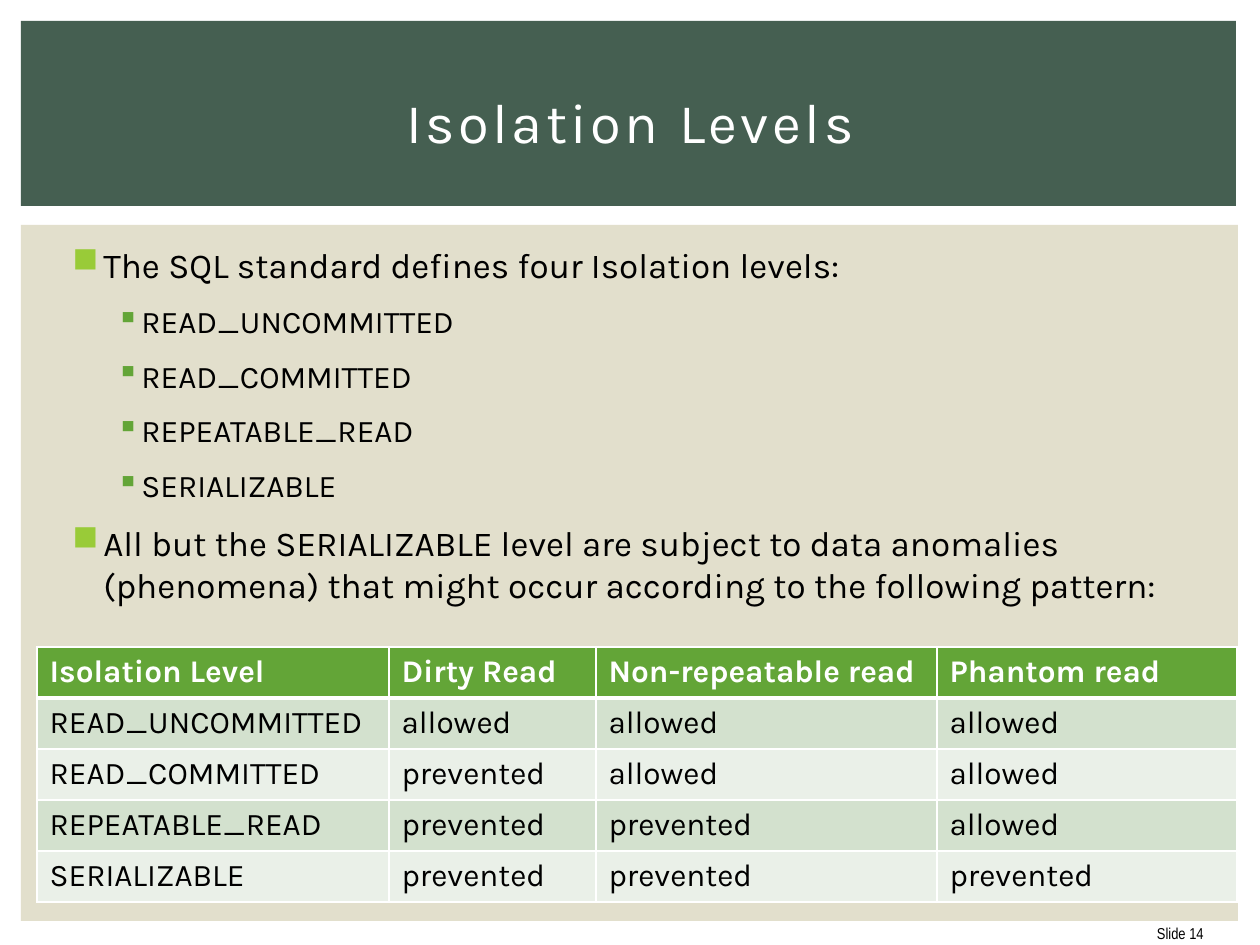
import pptx
import pptx.util
import pptx.dml.color
import pptx.enum.shapes
import pptx.enum.text
import pptx.oxml
import pptx.oxml.ns

SCALE = 914400 / 126
FONT = "Karla"
COLORS = {
    "white": "FFFFFF", "black": "000000", "band": "455F51", "panel": "E2DFCC",
    "lime": "99CB38", "green": "63A537", "odd": "D3E1CE", "even": "EAF0E8",
}
ALIGN = pptx.enum.text.PP_ALIGN
MIDDLE = pptx.enum.text.MSO_ANCHOR.MIDDLE

# Per bullet level: sign, colour, text size, left margin, hanging indent
LEVELS = [("■", "lime", 20, 38, 31), ("▪", "green", 18, 76, 25)]
POINTS = [
    (0, "The SQL standard defines four Isolation levels:"),
    (1, "READ_UNCOMMITTED"),
    (1, "READ_COMMITTED"),
    (1, "REPEATABLE_READ"),
    (1, "SERIALIZABLE"),
    (0, "All but the SERIALIZABLE level are subject to data anomalies "
        "(phenomena) that might occur according to the following pattern:"),
]
COLS = [352, 207, 341, 300]
ROW = 51
ROWS = [
    ["Isolation Level", "Dirty Read", "Non-repeatable read", "Phantom read"],
    ["READ_UNCOMMITTED", "allowed", "allowed", "allowed"],
    ["READ_COMMITTED", "prevented", "allowed", "allowed"],
    ["REPEATABLE_READ", "prevented", "prevented", "allowed"],
    ["SERIALIZABLE", "prevented", "prevented", "prevented"],
]


def px(n):
    return pptx.util.Emu(round(n * SCALE))


def rgb(name):
    return pptx.dml.color.RGBColor.from_string(COLORS[name])


def add_xml(parent, body):
    """Append one drawing element, given without its namespace."""
    tag, rest = body.split(" ", 1)
    ns = pptx.oxml.ns.nsdecls("a")
    parent.append(pptx.oxml.parse_xml(f"<a:{tag} {ns} {rest}"))


def add_run(para, text, size, color, font=FONT, bold=False):
    run = para.add_run()
    run.text = text
    run.font.size = pptx.util.Pt(size)
    run.font.name = font
    run.font.bold = bold
    run.font.color.rgb = rgb(color)
    return run


def add_rect(slide, color, *box):
    kind = pptx.enum.shapes.MSO_SHAPE.RECTANGLE
    rect = slide.shapes.add_shape(kind, *map(px, box))
    rect.shadow.inherit = False
    rect.fill.solid()
    rect.fill.fore_color.rgb = rgb(color)
    rect.line.fill.background()


def add_box(slide, *box):
    frame = slide.shapes.add_textbox(*map(px, box)).text_frame
    frame.word_wrap = True
    return frame


def add_line(slide, text, size, color, align, font, *box):
    frame = add_box(slide, *box)
    frame.vertical_anchor = MIDDLE
    para = frame.paragraphs[0]
    para.alignment = align
    return add_run(para, text, size, color, font)


def add_list(slide, points, *box):
    frame = add_box(slide, *box)
    for i, (level, text) in enumerate(points):
        para = frame.add_paragraph() if i else frame.paragraphs[0]
        sign, color, size, left, hang = LEVELS[level]
        para.level = level
        props = para._p.get_or_add_pPr()
        props.set("marL", str(px(left)))
        props.set("indent", str(-px(hang)))
        add_xml(props, 'spcBef ><a:spcPct val="20000"/></a:spcBef>')
        add_xml(props, 'spcAft ><a:spcPts val="600"/></a:spcAft>')
        add_xml(props, f'buClr ><a:srgbClr val="{COLORS[color]}"/></a:buClr>')
        add_xml(props, f'buChar char="{sign}"/>')
        add_run(para, text, size, "black")


def set_edges(cell, head, below):
    props = cell._tc.get_or_add_tcPr()
    widths = {"L": 1, "R": 1, "T": 3 if below else 1, "B": 3 if head else 1}
    for side, width in widths.items():
        add_xml(props, f'ln{side} w="{width * 12700}"><a:solidFill>'
                f'<a:srgbClr val="{COLORS["white"]}"/></a:solidFill></a:ln{side}>')


def add_grid(slide, rows, left, top):
    grid = slide.shapes.add_table(
        len(rows), len(COLS), px(left), px(top),
        px(sum(COLS)), px(ROW * len(rows))).table
    for col, width in zip(grid.columns, COLS):
        col.width = px(width)
    for r, texts in enumerate(rows):
        grid.rows[r].height = px(ROW)
        head = r == 0
        fill = "green" if head else "odd" if r % 2 else "even"
        for c, text in enumerate(texts):
            cell = grid.cell(r, c)
            set_edges(cell, head, r == 1)
            cell.fill.solid()
            cell.fill.fore_color.rgb = rgb(fill)
            add_run(cell.text_frame.paragraphs[0], text, 18,
                    "white" if head else "black", bold=head)


def main():
    deck = pptx.Presentation()
    deck.slide_width, deck.slide_height = px(1260), px(945)
    slide = deck.slides.add_slide(deck.slide_layouts[6])

    # Backdrop
    add_rect(slide, "panel", 21, 225, 1217, 696)
    add_rect(slide, "band", 21, 21, 1215, 185)

    # Footer and title
    add_line(slide, "Slide 14", 9, "black", ALIGN.RIGHT, "Arial Narrow",
             1135, 914, 81, 38)
    title = add_line(slide, "Isolation Levels", 32, "white", ALIGN.CENTER, FONT,
                     53, 49, 1155, 145)
    title.font._element.set("spc", "200")

    # Bullets and table
    add_list(slide, POINTS, 53, 237, 1158, 607)
    add_grid(slide, ROWS, 37, 647)

    deck.save("out.pptx")


if __name__ == "__main__":
    main()
